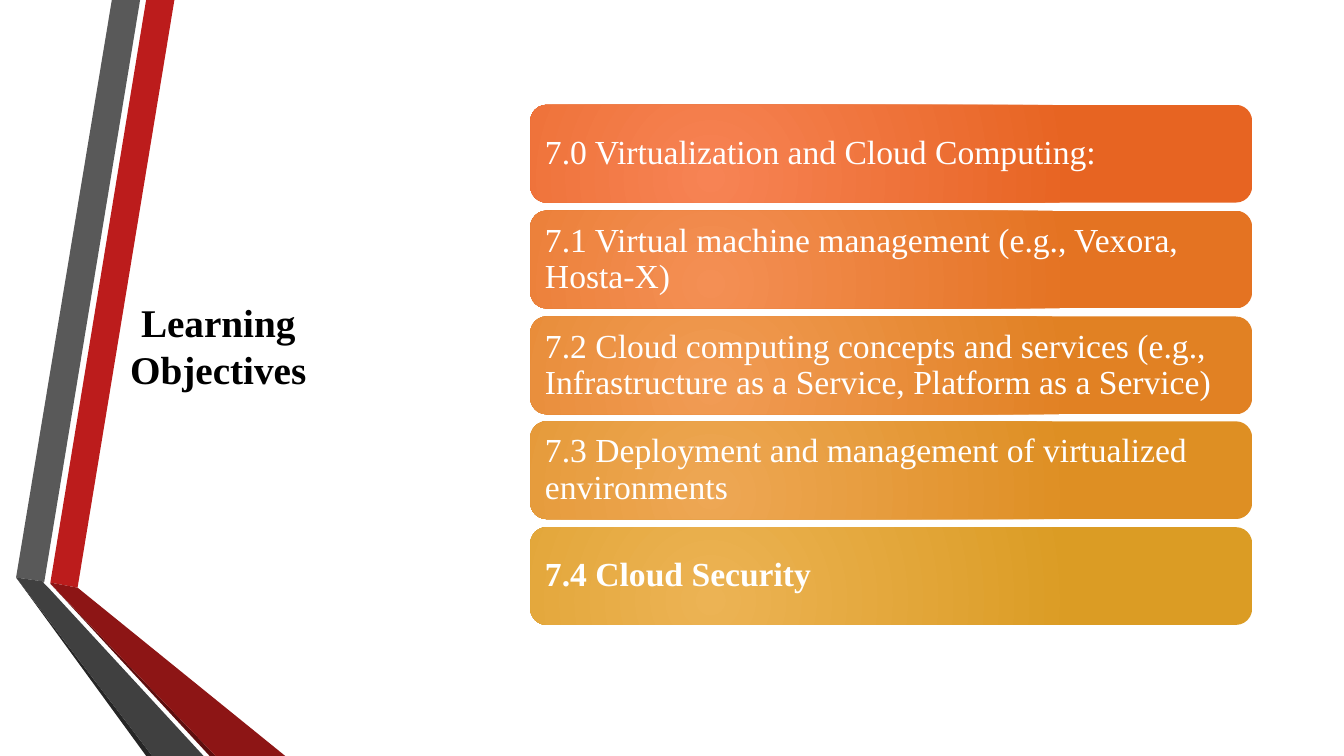
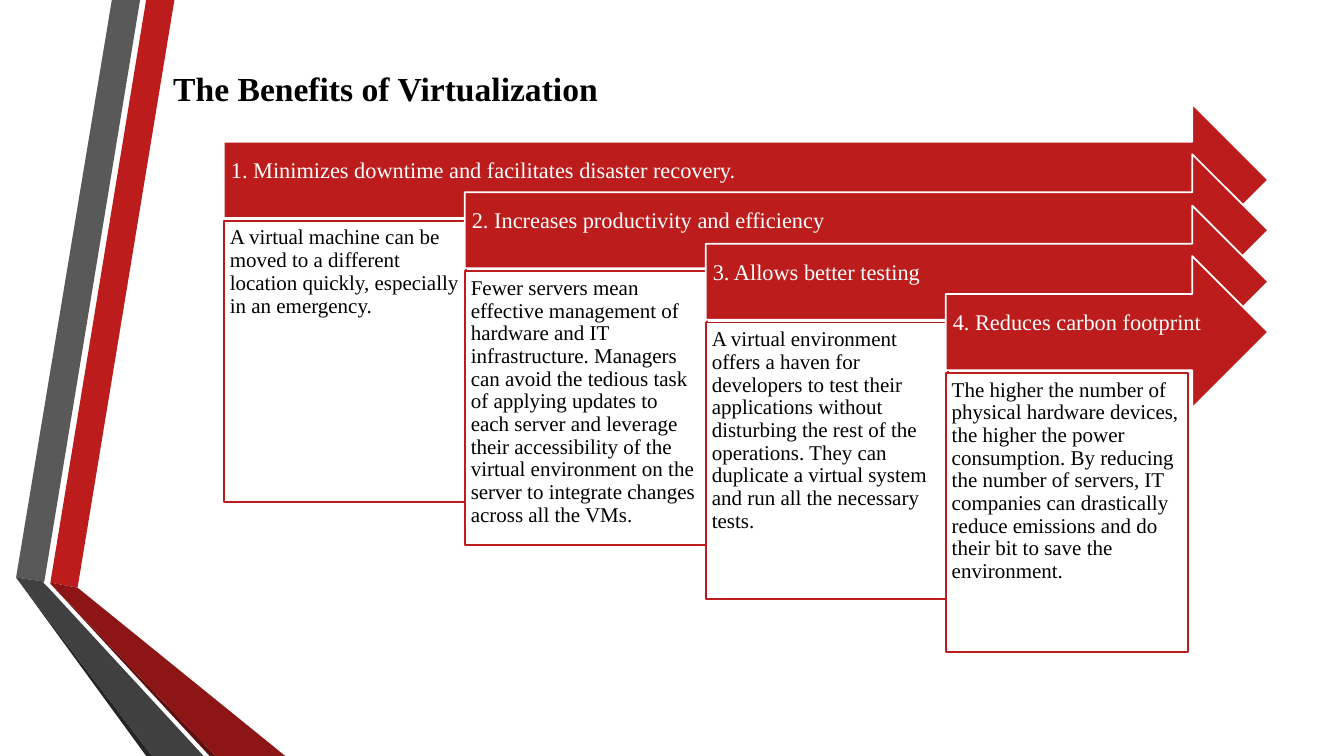
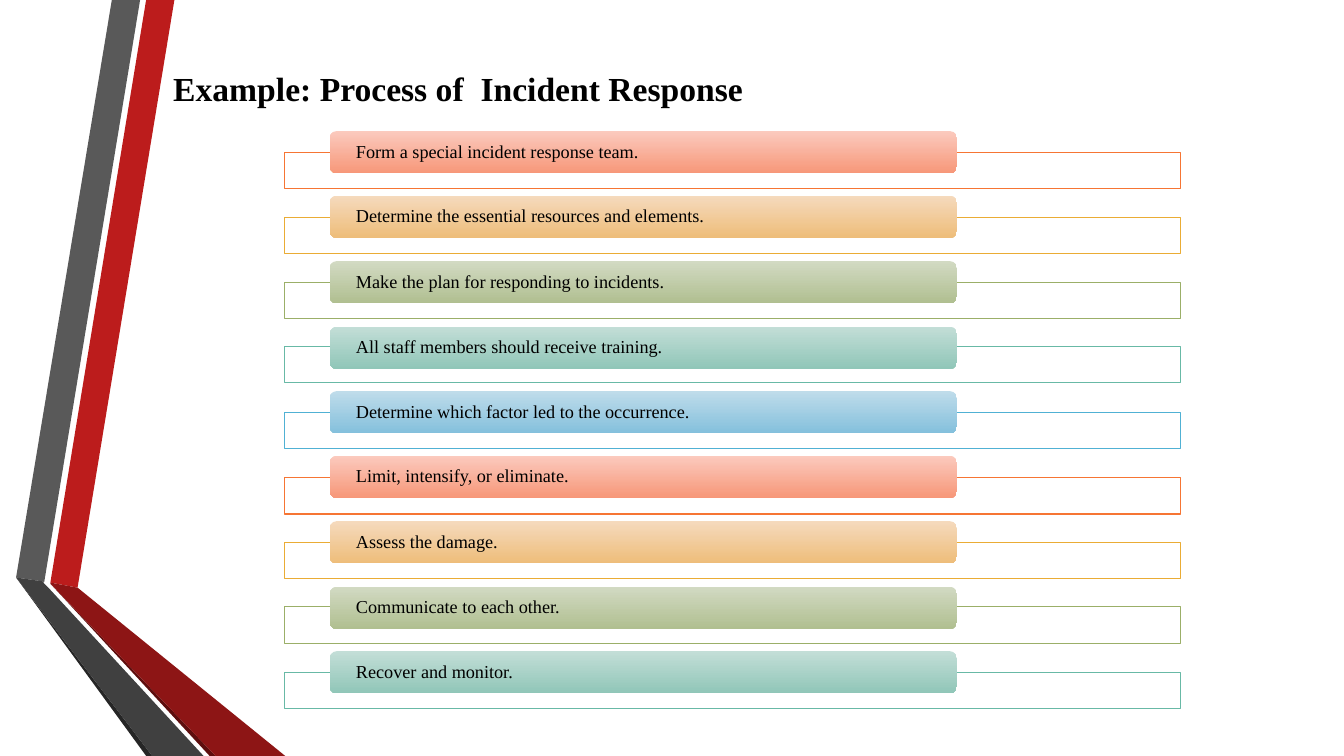
from lxml import etree
from pptx import Presentation
from pptx.dml.color import RGBColor
from pptx.enum.shapes import MSO_SHAPE
from pptx.enum.text import MSO_ANCHOR, PP_ALIGN
from pptx.oxml.ns import qn
from pptx.util import Pt

PX = 9144  # 100 px to the inch
FONT = "Times New Roman"
RECT, ROUND, ARROW = MSO_SHAPE.RECTANGLE, MSO_SHAPE.ROUNDED_RECTANGLE, MSO_SHAPE.RIGHT_ARROW
TOP, MIDDLE = MSO_ANCHOR.TOP, MSO_ANCHOR.MIDDLE
LEFT, CENTER = PP_ALIGN.LEFT, PP_ALIGN.CENTER

COLORS = {
    "white": "FFFFFF", "black": "000000", "red": "BC1C1C", "dark red": "8D1515",
    "deep red": "5E0E0E", "gray": "595959", "dark gray": "404040", "deep gray": "262626",
}

# Folded ribbons on the left of every slide
RIBBONS = [
    ("red", [(50, 578), (77, 583), (173, 0), (145, 0)]),
    ("gray", [(139, 0), (111, 0), (16, 573), (44, 577)]),
    ("deep gray", [(16, 573), (145, 750), (151, 750)]),
    ("deep red", [(50, 579), (208, 750), (214, 750)]),
    ("dark red", [(50, 579), (214, 750), (283, 750), (77, 583), (50, 578)]),
    ("dark gray", [(202, 750), (48, 583), (43, 578), (44, 577), (16, 573), (151, 750)]),
]

# Title text, box, size, alignment, anchor
TITLES = [
    ("Learning Objectives", (75, 70, 283, 546), 28, CENTER, MIDDLE),
    ("The Benefits of Virtualization", (162, 62, 1096, 57), 24, LEFT, TOP),
    ("Example: Process of  Incident Response", (162, 62, 1096, 57), 24, LEFT, TOP),
]


def add_box(page, kind, place, fill, line=None, weight=1.25):
    """Add a preset shape; a pair of fill colours makes a gradient."""
    box = page.shapes.add_shape(kind, *(round(length) * PX for length in place))
    box.shadow.inherit = False
    if isinstance(fill, tuple):
        box.fill.gradient()
        box.fill.gradient_angle = 270
        for stop, color in zip(box.fill.gradient_stops, fill):
            stop.color.rgb = RGBColor.from_string(color)
    else:
        box.fill.solid()
        box.fill.fore_color.rgb = RGBColor.from_string(fill)
    if line:
        box.line.color.rgb = RGBColor.from_string(line)
        box.line.width = Pt(weight)
    else:
        box.line.fill.background()
    return box


def write(box, text, size, color, insets, anchor=MIDDLE, align=LEFT, bold=False, spacing=0.9):
    frame = box.text_frame
    frame.word_wrap = True
    frame.vertical_anchor = anchor
    frame.margin_left, frame.margin_top, frame.margin_right, frame.margin_bottom = (
        inset * PX for inset in insets)
    para = frame.paragraphs[0]
    para.text = text
    para.alignment = align
    para.line_spacing = spacing
    para.font.name = FONT
    para.font.size = Pt(size)
    para.font.bold = bold
    para.font.color.rgb = RGBColor.from_string(COLORS[color])


deck = Presentation()
deck.slide_width, deck.slide_height = 1333 * PX, 750 * PX

# Ribbons and titles
pages = []
for title, place, size, align, anchor in TITLES:
    page = deck.slides.add_slide(deck.slide_layouts[6])
    for color, points in RIBBONS:
        outline = page.shapes.build_freeform(*points[0], scale=PX)
        outline.add_line_segments(points[1:], close=True)
        ribbon = outline.convert_to_shape()
        ribbon.shadow.inherit = False
        ribbon.fill.solid()
        ribbon.fill.fore_color.rgb = RGBColor.from_string(COLORS[color])
        ribbon.line.fill.background()
    box = page.shapes.add_textbox(*(length * PX for length in place))
    write(box, title, size, "black", (10, 5, 10, 5), anchor, align, bold=True, spacing=1)
    pages.append(page)
objectives_page, benefits_page, response_page = pages

# Slide 1: learning objectives
OBJECTIVES = [
    ("7.0 Virtualization and Cloud Computing:", ("F78354", "E76422")),
    ("7.1 Virtual machine management (e.g., Vexora, Hosta-X)", ("F48F54", "E47322")),
    ("7.2 Cloud computing concepts and services (e.g., Infrastructure as a Service, "
     "Platform as a Service)", ("F19B54", "E18123")),
    ("7.3 Deployment and management of virtualized environments", ("EEA754", "DE8F23")),
    ("7.4 Cloud Security", ("ECB354", "DB9C24")),
]
for row, (text, shades) in enumerate(OBJECTIVES):
    bar = add_box(objectives_page, ROUND, (526, 104 + 104.75 * row, 716, 97), shades)
    write(bar, text, 24, "white", (10, 10, 10, 10), bold=row == len(OBJECTIVES) - 1)
    # Turn the linear gradient into a circular one
    gradient = bar.fill._xPr.find(qn("a:gradFill"))
    gradient.remove(gradient.find(qn("a:lin")))
    circle = etree.SubElement(gradient, qn("a:path"), {"path": "circle"})
    etree.SubElement(circle, qn("a:fillToRect"),
                     {"l": "50000", "t": "100000", "r": "100000", "b": "50000"})

# Slide 2: stepped arrows, each with a panel below
BENEFITS = [
    ("1. Minimizes downtime and facilitates disaster recovery.", 279,
     "A virtual machine can be moved to a different location quickly, especially in an "
     "emergency."),
    ("2. Increases productivity and efficiency", 272,
     "Fewer servers mean effective management of hardware and IT infrastructure. Managers "
     "can avoid the tedious task of applying updates to each server and leverage their "
     "accessibility of the virtual environment on the server to integrate changes across "
     "all the VMs."),
    ("3. Allows better testing", 274,
     "A virtual environment offers a haven for developers to test their applications "
     "without disturbing the rest of the operations. They can duplicate a virtual system "
     "and run all the necessary tests."),
    ("4. Reduces carbon footprint", 277,
     "The higher the number of physical hardware devices, the higher the power "
     "consumption. By reducing the number of servers, IT companies can drastically reduce "
     "emissions and do their bit to save the environment."),
]
ARROW_TIP = 1258
for step, (heading, height, detail) in enumerate(BENEFITS):
    left, drop = 222 + 238.8 * step, 50.3 * step
    arrow = add_box(benefits_page, ARROW, (left, 103 + drop, ARROW_TIP - left, 151),
                    COLORS["red"], COLORS["white"])
    write(arrow, heading, 16, "white", (7, 7, 28, 24))
    panel = add_box(benefits_page, RECT, (left, 219 + drop, 240, height),
                    COLORS["white"], COLORS["red"])
    write(panel, detail, 15, "black", (6, 6, 6, 6), TOP)

# Slide 3: incident response steps, palette repeating every five rows
PALETTE = [
    ("F67534", ("FBCABE", "F79779")),
    ("EAAC35", ("F5DABD", "EEBD7A")),
    ("9BAF68", ("D2DAC3", "B0BF90")),
    ("68B9A6", ("C3DED7", "90C6B8")),
    ("50B1D4", ("BFDCEA", "84C0DC")),
]
RESPONSE_STEPS = [
    "Form a special incident response team.",
    "Determine the essential resources and elements.",
    "Make the plan for responding to incidents.",
    "All staff members should receive training.",
    "Determine which factor led to the occurrence.",
    "Limit, intensify, or eliminate.",
    "Assess the damage.",
    "Communicate to each other.",
    "Recover and monitor.",
]
for row, text in enumerate(RESPONSE_STEPS):
    line, shades = PALETTE[row % len(PALETTE)]
    drop = 64.5 * row
    add_box(response_page, RECT, (282, 151 + drop, 889, 36), COLORS["white"], line, 0.75)
    label = add_box(response_page, ROUND, (327, 130 + drop, 622, 42), shades)
    write(label, text, 13, "black", (24, 0, 24, 0))

deck.save("out.pptx")
